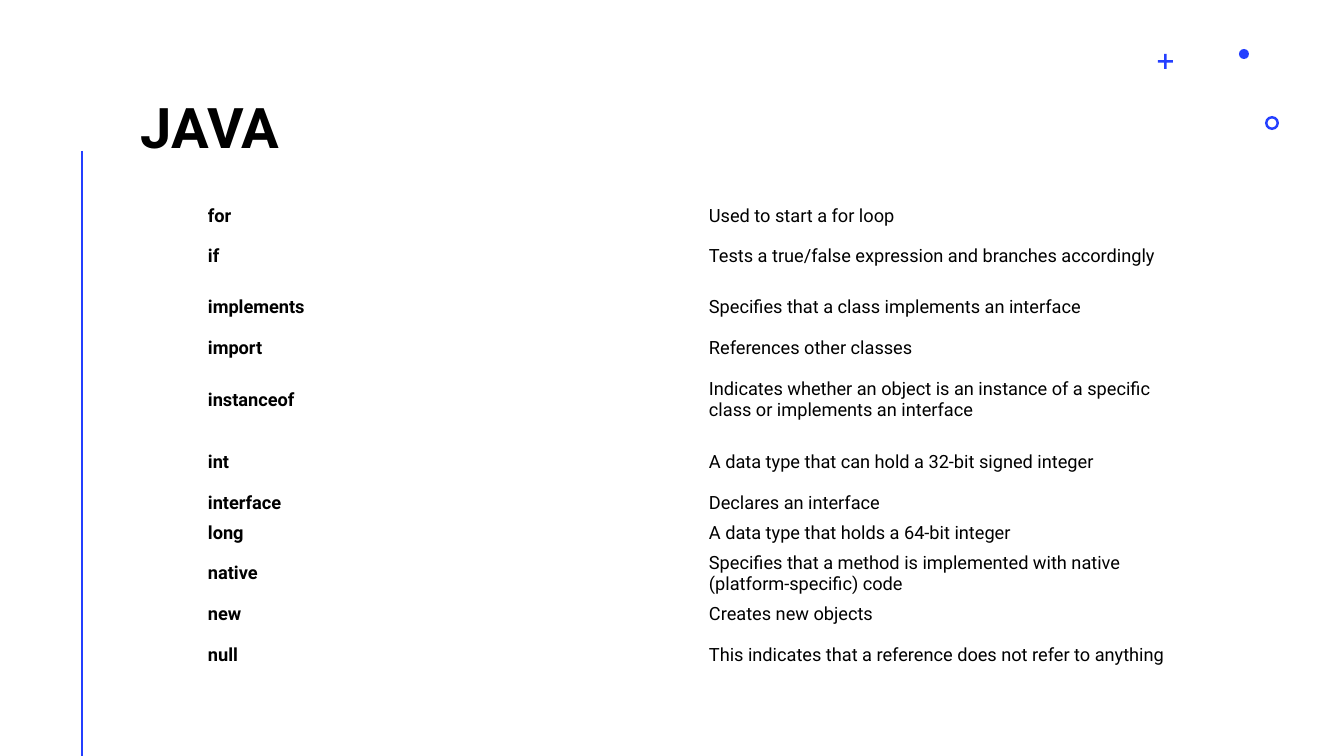
from lxml import etree
from pptx import Presentation
from pptx.dml.color import RGBColor
from pptx.enum.shapes import MSO_CONNECTOR, MSO_SHAPE
from pptx.enum.text import MSO_ANCHOR
from pptx.oxml.ns import qn
from pptx.util import Pt

STRAIGHT = MSO_CONNECTOR.STRAIGHT
CROSS, RING, DOT = MSO_SHAPE.CROSS, MSO_SHAPE.DONUT, MSO_SHAPE.OVAL
MIDDLE, BOTTOM = MSO_ANCHOR.MIDDLE, MSO_ANCHOR.BOTTOM

# Content
TITLE = "JAVA"
LOW, MID, TALL = 30, 51, 74
WORDS = [
    ("for", "Used to start a for loop", LOW),
    ("if", "Tests a true/false expression and branches accordingly", MID),
    ("implements", "Specifies that a class implements an interface", MID),
    ("import", "References other classes", LOW),
    ("instanceof", "Indicates whether an object is an instance of a specific "
     "class or implements an interface", TALL),
    ("int", "A data type that can hold a 32-bit signed integer", MID),
    ("interface", "Declares an interface", LOW),
    ("long", "A data type that holds a 64-bit integer", LOW),
    ("native", "Specifies that a method is implemented with native "
     "(platform-specific) code", MID),
    ("new", "Creates new objects", LOW),
    ("null", "This indicates that a reference does not refer to anything", MID),
]
# Preset, left, top, size, adjustment
MARKS = [
    (CROSS, 1158, 54, 15, 0.42),
    (RING, 1265, 116, 14, 0.18),
    (DOT, 1239, 49, 10, None),
]
FONT, BLUE, BLACK = "Roboto", "243FFF", "000000"
WIDE, HIGH = 1344, 756
COL = 501


def px(n):
    return round(n * 914400 / 100.8)


def color(text):
    return RGBColor.from_string(text)


def add_run(para, text, size, bold):
    run = para.add_run()
    run.text = text
    font = run.font
    font.name, font.size, font.bold = FONT, Pt(size), bold
    font.color.rgb = color(BLACK)


def pad(box, side, end):
    box.margin_left = box.margin_right = px(side)
    box.margin_top = box.margin_bottom = px(end)


deck = Presentation()
deck.slide_width, deck.slide_height = px(WIDE), px(HIGH)
slide = deck.slides.add_slide(deck.slide_layouts[6])
shapes = slide.shapes

# Side rule
rule = shapes.add_connector(STRAIGHT, px(82), px(151), px(82), px(HIGH))
rule.line.color.rgb = color(BLUE)
rule.line.width = Pt(2)
etree.SubElement(rule.line._get_or_add_ln().getparent(), qn("a:effectLst"))

# Corner marks
for kind, left, top, size, adjust in MARKS:
    mark = shapes.add_shape(kind, px(left), px(top), px(size), px(size))
    mark.shadow.inherit = False
    mark.fill.solid()
    mark.fill.fore_color.rgb = color(BLUE)
    mark.line.fill.background()
    if adjust is not None:
        mark.adjustments[0] = adjust

# Title
frame = shapes.add_textbox(px(141), px(76), px(1007), px(84)).text_frame
frame.word_wrap = True
frame.vertical_anchor = BOTTOM
pad(frame, 0, 0)
head = frame.paragraphs[0]
head.line_spacing = Pt(40)
add_run(head, TITLE, 40, True)

# Keyword table
total = sum(high for _, _, high in WORDS)
table = shapes.add_table(len(WORDS), 2, px(201), px(201),
                         px(2 * COL), px(total)).table
table.first_row = table.horz_banding = False
for col in table.columns:
    col.width = px(COL)
for i, (word, note, high) in enumerate(WORDS):
    table.rows[i].height = px(high)
    for j, text in enumerate((word, note)):
        cell = table.cell(i, j)
        cell.fill.background()
        cell.vertical_anchor = MIDDLE
        pad(cell, 7, 4)
        add_run(cell.text_frame.paragraphs[0], text, 13, j == 0)

deck.save("out.pptx")
